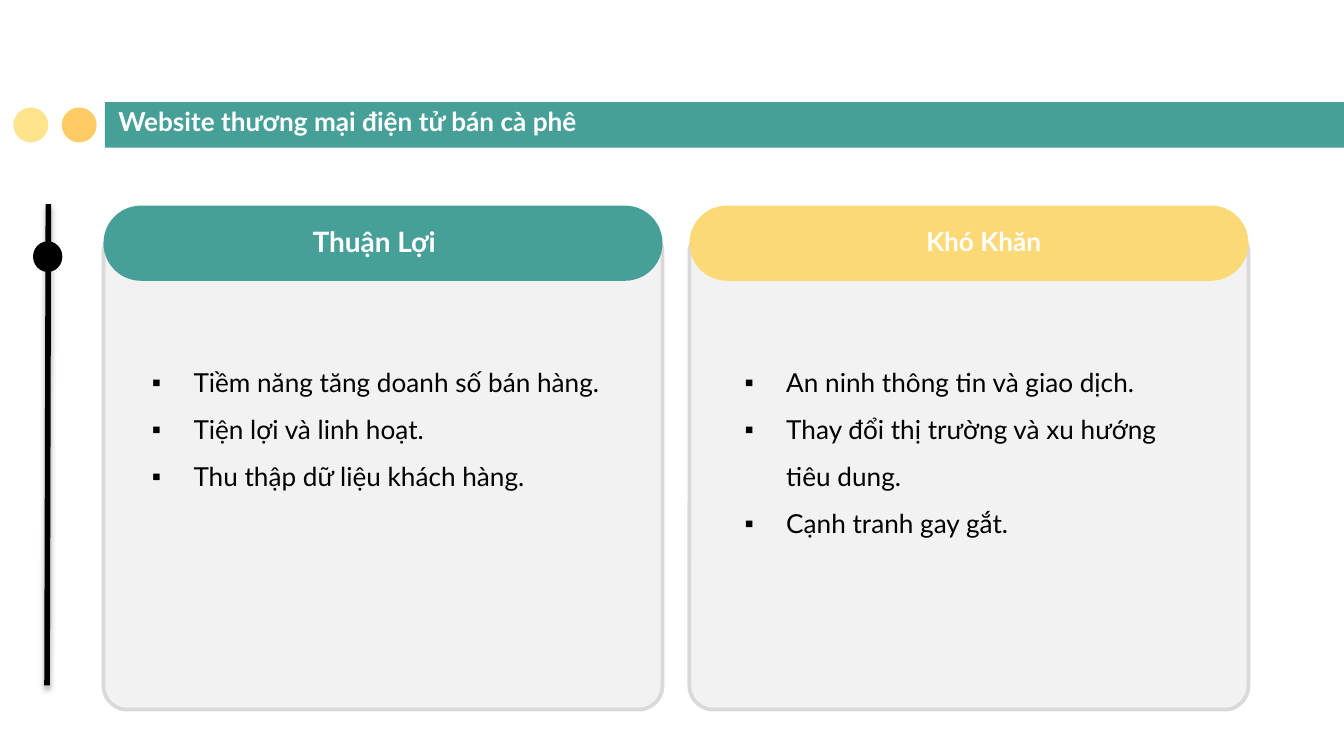
from lxml import etree
from pptx import Presentation
from pptx.dml.color import RGBColor
from pptx.enum import shapes, text
from pptx.oxml import parse_xml
from pptx.oxml.ns import qn
from pptx.util import Inches, Pt

HUES = {"teal": "47A097", "gold": "FCD977", "amber": "FFCB64", "cream": "FFE48D",
        "panel": "F2F2F2", "edge": "D9D9D9", "black": "000000", "white": "FFFFFF"}
KIND = shapes.MSO_SHAPE
SIDE = text.PP_ALIGN
SHADOW = ('<a:effectLst xmlns:a="http://schemas.openxmlformats.org/drawingml/2006/main">'
          '<a:outerShdw blurRad="39370" dist="22860" dir="5400000" rotWithShape="0">'
          '<a:srgbClr val="000000"><a:alpha val="35000"/></a:srgbClr>'
          '</a:outerShdw></a:effectLst>')


def hue(name):
    return RGBColor.from_string(HUES[name])


def write(para, words, size=14, color="black", bold=False, side=SIDE.LEFT):
    """Put one formatted run into a paragraph."""
    run = para.add_run()
    run.text = words
    font = run.font
    font.name, font.size, font.bold = "Lato", Pt(size), bold
    font.color.rgb = hue(color)
    para.alignment = side


class Deck:
    def __init__(self, width, height):
        self.prs = Presentation()
        self.prs.slide_width, self.prs.slide_height = Inches(width), Inches(height)
        self.slide = self.prs.slides.add_slide(self.prs.slide_layouts[3])

    def shape(self, kind, box, fill, line=None, width=2, round=None):
        item = self.slide.shapes.add_shape(kind, *map(Inches, box))
        item.shadow.inherit = False
        item.fill.solid()
        item.fill.fore_color.rgb = hue(fill)
        if line:
            item.line.color.rgb = hue(line)
            item.line.width = Pt(width)
        else:
            item.line.fill.background()
        if round is not None:
            item.adjustments[0] = round

    def line(self, start, end, color, width):
        item = self.slide.shapes.add_connector(
            shapes.MSO_CONNECTOR.STRAIGHT, *map(Inches, start + end))
        item.line.color.rgb = hue(color)
        item.line.width = Pt(width)
        item.element.spPr.append(parse_xml(SHADOW))

    def holder(self, index, box):
        """Place a template placeholder above the shapes drawn so far."""
        item = self.slide.placeholders[index]
        item.left, item.top, item.width, item.height = map(Inches, box)
        item.element.getparent().append(item.element)
        frame = item.text_frame
        frame.auto_size = text.MSO_AUTO_SIZE.NONE
        return frame

    def title(self, words, box):
        frame = self.holder(0, box)
        frame.vertical_anchor = text.MSO_ANCHOR.BOTTOM
        frame.margin_top = frame.margin_bottom = Inches(0.1)
        write(frame.paragraphs[0], words, color="white", bold=True)

    def list(self, index, items, box):
        frame = self.holder(index, box)
        for i, words in enumerate(items):
            para = frame.add_paragraph() if i else frame.paragraphs[0]
            write(para, words)
            para.line_spacing = 1.5
            para.space_before = Pt(0)
            self.bullet(para)

    def bullet(self, para):
        props = para._p.get_or_add_pPr()
        props.set("marL", str(Inches(0.31)))
        props.set("indent", str(-Inches(0.31)))
        tint = etree.SubElement(props, qn("a:buClr"))
        etree.SubElement(tint, qn("a:srgbClr"), val=HUES["black"])
        etree.SubElement(props, qn("a:buFont"), typeface="Arial")
        etree.SubElement(props, qn("a:buChar"), char="▪")

    def label(self, words, box, size):
        frame = self.slide.shapes.add_textbox(*map(Inches, box)).text_frame
        frame.word_wrap = True
        write(frame.paragraphs[0], words, size=size, color="white",
              bold=True, side=SIDE.CENTER)


def main():
    deck = Deck(10, 10 * 9 / 16)

    # Title band with its dots
    for left, fill in ((0.46, "amber"), (0.1, "cream")):
        deck.shape(KIND.OVAL, (left, 0.8, 0.26, 0.26), fill)
    deck.shape(KIND.RECTANGLE, (0.78, 0.76, 9.22, 0.34), "teal")
    deck.title("Website thương mại điện tử bán cà phê", (0.78, 0.78, 7.01, 0.34))

    # Timeline at the left
    deck.line((0.36, 1.52), (0.35, 5.1), "black", 3)
    deck.shape(KIND.OVAL, (0.26, 1.81, 0.19, 0.2), "black", line="black")

    # Cards: left edge, head colour, head, head box, head size, list box, points
    cards = (
        (0.77, "teal", "Thuận Lợi", (0.85, 1.62, 3.87, 0.35), 15,
         (1.03, 2.56, 3.59, 1.11),
         ("Tiềm năng tăng doanh số bán hàng.", "Tiện lợi và linh hoạt.",
          "Thu thập dữ liệu khách hàng.")),
        (5.13, "gold", "Khó Khăn", (5.61, 1.63, 3.42, 0.34), 14,
         (5.44, 2.56, 3.59, 1.48),
         ("An ninh thông tin và giao dịch.",
          "Thay đổi thị trường và xu hướng tiêu dung.", "Cạnh tranh gay gắt.")),
    )
    for index, (left, fill, head, box, size, area, points) in enumerate(cards, 1):
        deck.shape(KIND.ROUNDED_RECTANGLE, (left, 1.7, 4.16, 3.58), "panel",
                   line="edge", round=0.05)
        deck.shape(KIND.ROUNDED_RECTANGLE, (left, 1.53, 4.16, 0.56), fill, round=0.5)
        deck.list(index, points, area)
        deck.label(head, box, size)

    deck.prs.save("out.pptx")


if __name__ == "__main__":
    main()
